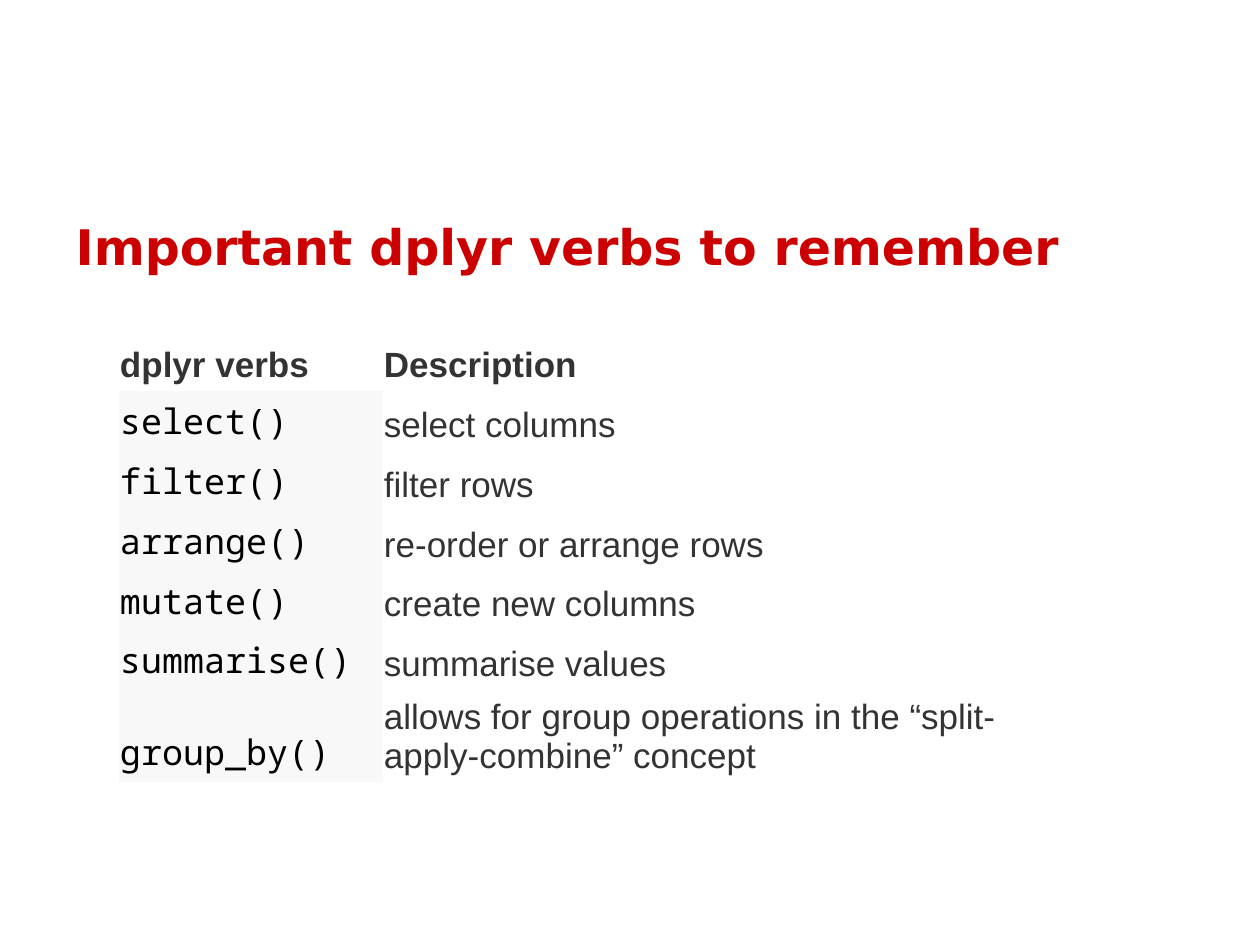
from dataclasses import dataclass

from pptx import Presentation
from pptx.dml.color import RGBColor
from pptx.enum.text import MSO_ANCHOR as Anchor, MSO_AUTO_SIZE as AutoSize, PP_ALIGN as Align
from pptx.slide import Slide
from pptx.table import _Cell as Cell
from pptx.text.text import TextFrame
from pptx.util import Pt

PX = 914400 // 126
COLORS = {
    "title": "CC0000",
    "body": "333333",
    "code": "000000",
    "plain": "FFFFFF",
    "code_fill": "F8F8F8",
}
NO_STYLE = "{2D5ABB26-0587-4C30-8999-92F81FD0307C}"
COLUMN_WIDTHS = (264, 704)
HEADER_HEIGHT, ROW_HEIGHT, TALL_HEIGHT = 86, 52, 92


@dataclass(frozen=True)
class Verb:
    name: str
    description: str
    height: int = ROW_HEIGHT


VERBS = (
    Verb("select()", "select columns"),
    Verb("filter()", "filter rows"),
    Verb("arrange()", "re-order or arrange rows"),
    Verb("mutate()", "create new columns"),
    Verb("summarise()", "summarise values"),
    Verb("group_by()", "allows for group operations in the “split-apply-combine” concept", TALL_HEIGHT),
)


def px(length: int) -> int:
    return length * PX


def write(frame: TextFrame, text: str, *, color: str, font: str = "Arial",
          size: int = 20, bold: bool = False, spacing: float = 1.0) -> None:
    para = frame.paragraphs[0]
    para.alignment = Align.LEFT
    para.line_spacing = spacing
    span = para.add_run()
    span.text = text
    span.font.name = font
    span.font.size = Pt(size)
    span.font.bold = bold
    span.font.color.rgb = RGBColor.from_string(COLORS[color])


def fill_cell(cell: Cell, text: str, *, fill: str = "plain", color: str = "body",
              font: str = "Arial", bold: bool = False) -> None:
    cell.vertical_anchor = Anchor.BOTTOM
    cell.margin_left = cell.margin_right = px(1)
    cell.margin_top = cell.margin_bottom = px(6)
    cell.fill.solid()
    cell.fill.fore_color.rgb = RGBColor.from_string(COLORS[fill])
    write(cell.text_frame, text, color=color, font=font, bold=bold)


def add_title(slide: Slide, text: str) -> None:
    title = slide.shapes.title
    title.left, title.top, title.width, title.height = map(px, (63, 199, 1134, 105))
    frame = title.text_frame
    frame.word_wrap = True
    frame.auto_size = AutoSize.NONE
    frame.vertical_anchor = Anchor.MIDDLE
    frame.margin_bottom = px(24)
    write(frame, text, color="title", font="DejaVu Sans", size=28, bold=True, spacing=1.1)


def add_verb_table(slide: Slide) -> None:
    heights = (HEADER_HEIGHT, *(verb.height for verb in VERBS), ROW_HEIGHT)
    holder = slide.shapes.add_table(
        len(heights), len(COLUMN_WIDTHS), px(119), px(305),
        px(sum(COLUMN_WIDTHS)), px(sum(heights)))
    table = holder.table
    table.first_row = table.horz_banding = False
    table._tbl.tblPr[0].text = NO_STYLE
    for column, width in zip(table.columns, COLUMN_WIDTHS):
        column.width = px(width)
    for row, height in zip(table.rows, heights):
        row.height = px(height)

    for index, heading in enumerate(("dplyr verbs", "Description")):
        fill_cell(table.cell(0, index), heading, bold=True)
    for index, verb in enumerate(VERBS, start=1):
        fill_cell(table.cell(index, 0), verb.name, fill="code_fill",
                  color="code", font="Noto Sans Mono")
        fill_cell(table.cell(index, 1), verb.description)


def main() -> None:
    deck = Presentation()
    deck.slide_width, deck.slide_height = px(1260), px(945)
    slide = deck.slides.add_slide(deck.slide_layouts[5])
    add_title(slide, "Important dplyr verbs to remember")
    add_verb_table(slide)
    deck.save("out.pptx")


if __name__ == "__main__":
    main()
